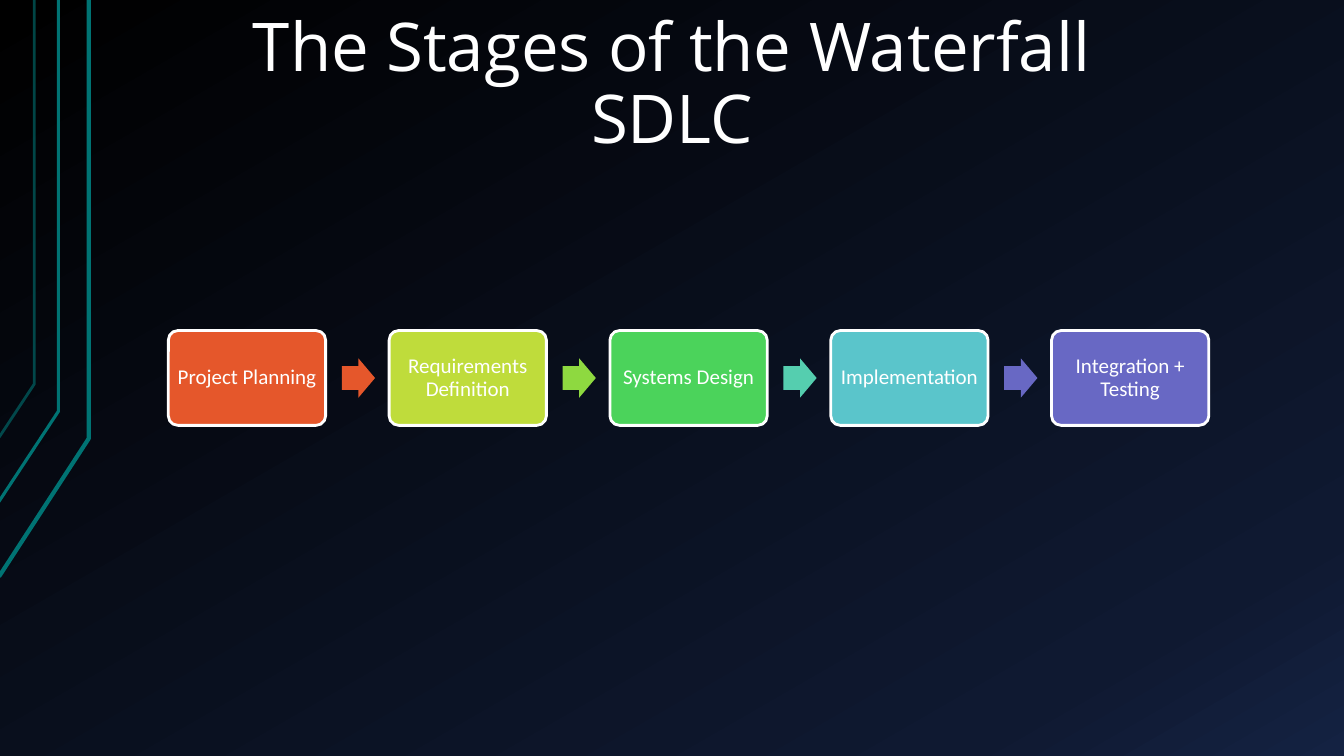
from copy import deepcopy

from lxml.etree import SubElement
from pptx import Presentation
from pptx.dml.color import RGBColor
from pptx.enum.shapes import MSO_SHAPE
from pptx.enum.text import MSO_ANCHOR, PP_ALIGN
from pptx.oxml.ns import qn
from pptx.util import Inches, Pt

TITLE = "The Stages of the Waterfall SDLC"
STAGES = [
    ("Project Planning", "E5572B"),
    ("Requirements Definition", "BFDC3B"),
    ("Systems Design", "4BD35B"),
    ("Implementation", "5AC5CB"),
    ("Integration + Testing", "6868C4"),
]
ARROW_COLORS = ["E5572B", "8ED940", "55CEAF", "6868C4"]
BACKDROP = [(0, "000000"), (0.85, "0F1931"), (1, "142242")]
TRACES = [
    ([(-0.01, 5.72), (0.88, 4.35), (0.88, 0)], 3, 100),
    ([(-0.02, 4.99), (0.58, 4.08), (0.58, 0)], 2.25, 100),
    ([(-0.01, 4.34), (0.34, 3.81), (0.34, 0)], 2, 60),
]
TRACE_COLOR, WHITE = "007373", "FFFFFF"

SLIDE_W, SLIDE_H = 13.33, 7.5
STAGE_W, STAGE_H = 1.56, 0.94
ARROW_W, ARROW_H = 0.33, 0.39
FLOW_LEFT, FLOW_MIDDLE, PITCH = 1.67, SLIDE_H / 2, 2.19
ARROW_OFFSET = 1.72


def rgb(code):
    return RGBColor.from_string(code)


def paint_backdrop(slide):
    fill = slide.background.fill
    fill.gradient()
    fill.gradient_angle = 300
    stops = slide.element.find(".//" + qn("a:gsLst"))
    stops.append(deepcopy(stops[-1]))
    for stop, (position, color) in zip(fill.gradient_stops, BACKDROP):
        stop.position = position
        stop.color.rgb = rgb(color)


def add_trace(slide, points, weight, opacity):
    start, *rest = [(Inches(x), Inches(y)) for x, y in points]
    builder = slide.shapes.build_freeform(*start)
    builder.add_line_segments(rest, close=False)
    trace = builder.convert_to_shape()
    trace.shadow.inherit = False
    trace.fill.background()
    trace.line.color.rgb = rgb(TRACE_COLOR)
    trace.line.width = Pt(weight)
    line_color = trace.element.find(".//" + qn("a:ln")).find(".//" + qn("a:srgbClr"))
    SubElement(line_color, qn("a:alpha"), val=str(opacity * 1000))


def add_flow_part(slide, preset, left, width, height, color, adjustments):
    part = slide.shapes.add_shape(preset, Inches(left), Inches(FLOW_MIDDLE - height / 2),
                                  Inches(width), Inches(height))
    part.shadow.inherit = False
    part.fill.solid()
    part.fill.fore_color.rgb = rgb(color)
    part.line.fill.background()
    for index, value in enumerate(adjustments):
        part.adjustments[index] = value
    return part


def write(holder, text, font, size, anchor, inset_x, inset_y):
    frame = holder.text_frame
    frame.text = text
    frame.word_wrap = True
    frame.vertical_anchor = anchor
    frame.margin_left = frame.margin_right = Inches(inset_x)
    frame.margin_top = frame.margin_bottom = Inches(inset_y)
    paragraph = frame.paragraphs[0]
    paragraph.alignment = PP_ALIGN.CENTER
    paragraph.line_spacing = 0.9
    style = paragraph.runs[0].font
    style.name, style.size = font, Pt(size)
    style.color.rgb = rgb(WHITE)


def main():
    deck = Presentation()
    deck.slide_width, deck.slide_height = Inches(SLIDE_W), Inches(SLIDE_H)
    slide = deck.slides.add_slide(deck.slide_layouts[6])
    paint_backdrop(slide)
    for trace in TRACES:
        add_trace(slide, *trace)

    title = slide.shapes.add_textbox(Inches(1.5), Inches(0.3), Inches(10.33), Inches(1.34))
    write(title, TITLE, "Open Sans", 48, MSO_ANCHOR.BOTTOM, 0.13, 0.07)

    for column, (name, color) in enumerate(STAGES):
        stage = add_flow_part(slide, MSO_SHAPE.ROUNDED_RECTANGLE, FLOW_LEFT + column * PITCH,
                              STAGE_W, STAGE_H, color, [0.1])
        stage.line.color.rgb = rgb(WHITE)
        stage.line.width = Pt(2)
        write(stage, name, "Calibri", 15, MSO_ANCHOR.MIDDLE, 0.06, 0.06)

    for column, color in enumerate(ARROW_COLORS):
        add_flow_part(slide, MSO_SHAPE.RIGHT_ARROW, FLOW_LEFT + column * PITCH + ARROW_OFFSET,
                      ARROW_W, ARROW_H, color, [0.6, 0.5])

    deck.save("out.pptx")


if __name__ == "__main__":
    main()
